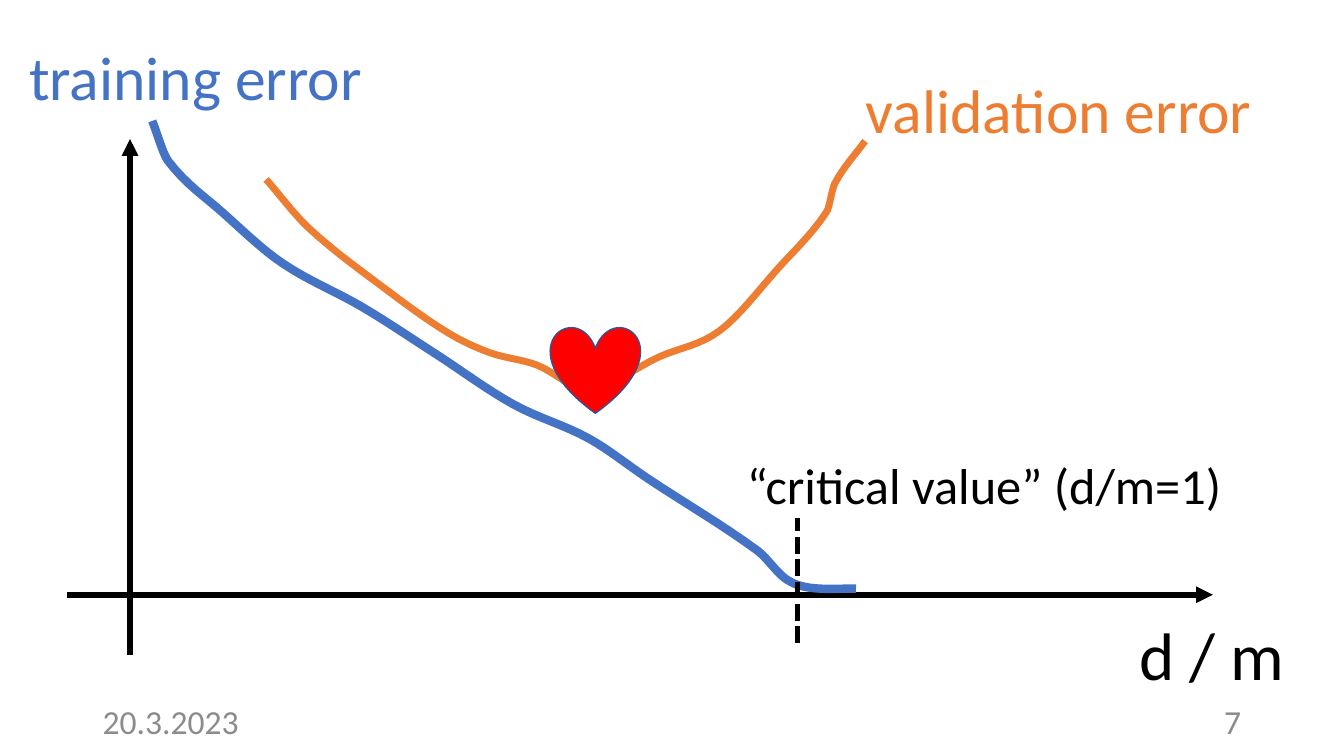
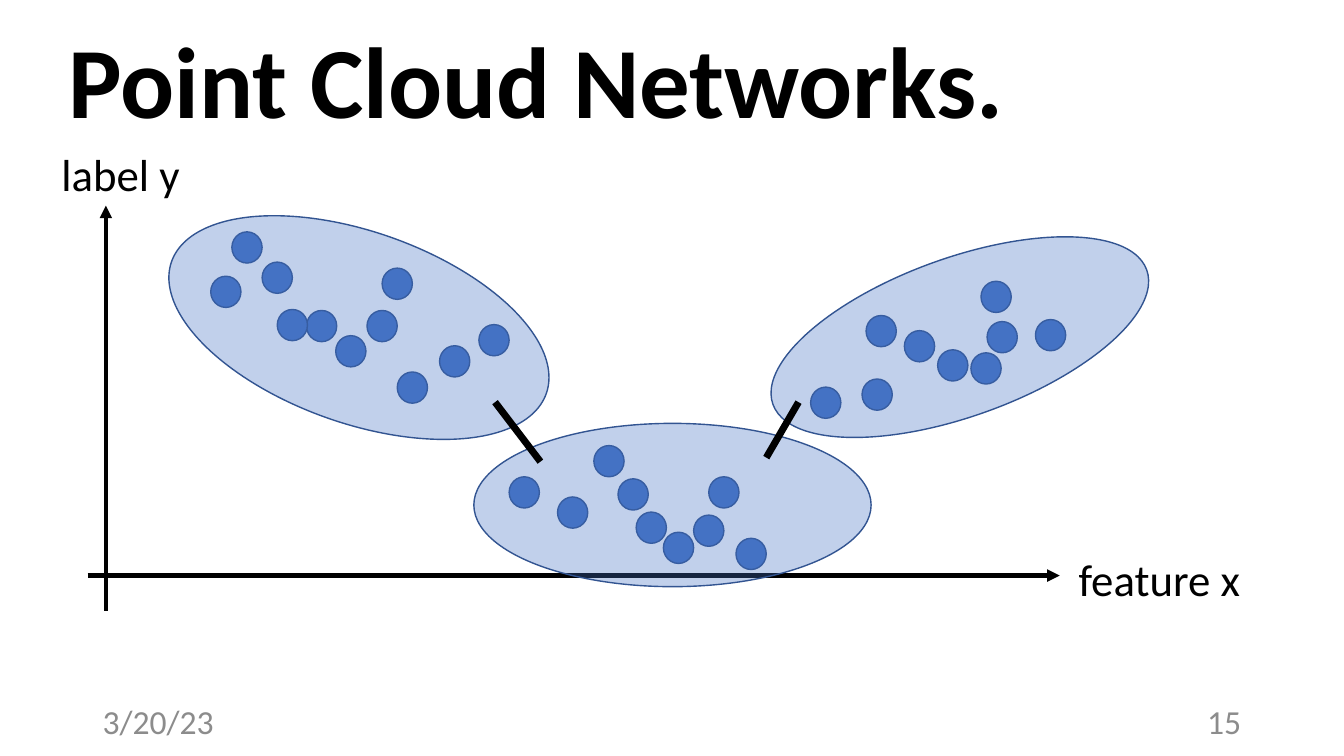
from dataclasses import dataclass
from itertools import pairwise

from lxml.etree import SubElement
from pptx import Presentation
from pptx.dml.color import RGBColor
from pptx.enum.dml import MSO_LINE
from pptx.enum.shapes import MSO_CONNECTOR, MSO_SHAPE
from pptx.enum.text import MSO_ANCHOR, MSO_AUTO_SIZE, PP_ALIGN
from pptx.oxml.ns import qn
from pptx.util import Inches, Pt


@dataclass(frozen=True)
class Theme:
    font: str = "Calibri"
    ink: str = "000000"
    muted: str = "8C8C8C"
    blue: str = "4472C4"
    outline: str = "325491"
    orange: str = "ED7D31"
    red: str = "FF0000"
    title: int = 72
    axis_name: int = 48
    curve_name: int = 44
    remark: int = 36
    label: int = 32
    footer: int = 24
    cloud_opacity: int = 33


THEME = Theme()
WIDTH, HEIGHT = 13.33, 7.5
MARGIN = 0.92
FOOTER_SIZE = (3, 0.4)
FOOTER_TOP = 6.95
STEPS_PER_BEND = 8

ERROR_AXES = {"left": 0.66, "right": 12.03, "bottom": 6.5, "top": 1.38,
              "origin": (1.29, 5.9), "weight": 4}
TRAINING_BENDS = [
    (1.51, 1.2), (1.67, 1.6), (2.21, 2.11), (2.8, 2.61), (3.6, 3.05), (4.32, 3.51),
    (5.09, 4.01), (5.84, 4.35), (6.43, 4.75), (7.51, 5.46), (7.79, 5.74),
    (8.03, 5.83), (8.49, 5.84),
]
VALIDATION_BENDS = [
    (2.64, 1.78), (3.07, 2.27), (3.84, 2.88), (4.44, 3.3), (4.86, 3.5), (5.32, 3.62),
    (5.84, 3.86), (6.54, 3.54), (7.14, 3.28), (7.72, 2.66), (8.2, 2.1),
    (8.28, 1.82), (8.58, 1.4),
]
BEST_MODEL = (5.46, 3.24, 0.89, 0.86)
CRITICAL_X, CRITICAL_BOTTOM, CRITICAL_TOP = 7.91, 6.38, 5.14
ERROR_LABELS = [
    ("training error", (0.19, 0.34, 3.54, 0.84), THEME.curve_name, THEME.blue),
    ("validation error", (8.49, 0.66, 4.08, 0.84), THEME.curve_name, THEME.orange),
    ("“critical value” (d/m=1)", (7.31, 4.46, 5.07, 0.71), THEME.remark, THEME.ink),
    ("d / m", (11.2, 6.04, 1.66, 0.91), THEME.axis_name, THEME.ink),
]

NETWORK_AXES = {"left": 0.87, "right": 10.51, "bottom": 6.06, "top": 2.04,
                "origin": (1.05, 5.71), "weight": 3}
NETWORK_LABELS = [
    ("feature x", (10.6, 5.42, 1.82, 0.64), THEME.label, THEME.ink),
    ("label y", (0.51, 1.41, 1.39, 0.64), THEME.label, THEME.ink),
]
DOT_SIZE = (0.3, 0.31)
CLOUDS = [
    {"oval": (1.59, 2.3, 3.94, 1.9), "turn": 19.4, "dots": [
        (2.09, 2.74), (2.3, 2.3), (2.6, 2.6), (3.04, 3.08), (2.75, 3.07), (3.33, 3.33),
        (3.64, 3.08), (3.79, 2.66), (3.94, 3.69), (4.36, 3.43), (4.75, 3.22)]},
    {"oval": (4.7, 4.2, 3.94, 1.62), "turn": 0, "dots": [
        (5.05, 4.73), (5.53, 4.93), (5.89, 4.42), (6.13, 4.75), (6.31, 5.08),
        (6.58, 5.28), (6.88, 5.11), (7.03, 4.73), (7.3, 5.34)]},
    {"oval": (7.55, 2.56, 3.94, 1.57), "turn": 340.2, "dots": [
        (8.04, 3.84), (8.55, 3.76), (8.59, 3.13), (8.97, 3.28), (9.3, 3.47),
        (9.63, 3.5), (9.73, 2.79), (9.79, 3.19), (10.27, 3.17)]},
]
CLOUD_LINKS = [((4.91, 3.99), (5.36, 4.58)), ((7.92, 3.99), (7.6, 4.54))]


def rgb(color):
    return RGBColor.from_string(color)


def slope(start, end):
    return (end[1] - start[1]) / (end[0] - start[0])


def smooth(bends):
    before = [bends[0], *bends[:-1]]
    after = [*bends[1:], bends[-1]]
    slopes = [slope(start, end) for start, end in zip(before, after)]
    curve = [bends[0]]
    for (start, rise_in), (end, rise_out) in pairwise(zip(bends, slopes)):
        (x0, y0), (x1, y1) = start, end
        run = x1 - x0
        for step in range(1, STEPS_PER_BEND + 1):
            t = step / STEPS_PER_BEND
            ease = t * t * (3 - 2 * t)
            leave = t * (1 - t) ** 2
            arrive = t * t * (t - 1)
            y = y0 + (y1 - y0) * ease + run * (rise_in * leave + rise_out * arrive)
            curve.append((x0 + run * t, y))
    return curve


def write(slide, text, box, *, size, color=THEME.ink, bold=False, wrap=False,
          align=PP_ALIGN.LEFT, anchor=MSO_ANCHOR.TOP, holder=None):
    left, top, width, height = map(Inches, box)
    if holder is None:
        holder = slide.shapes.add_textbox(left, top, width, height)
    else:
        holder.left, holder.top, holder.width, holder.height = left, top, width, height
    frame = holder.text_frame
    frame.word_wrap = wrap
    frame.auto_size = MSO_AUTO_SIZE.NONE
    frame.vertical_anchor = anchor
    paragraph = frame.paragraphs[0]
    paragraph.alignment = align
    run = paragraph.add_run()
    run.text = text
    font = run.font
    font.name, font.size, font.bold = THEME.font, Pt(size), bold
    font.color.rgb = rgb(color)


def add_labels(slide, labels):
    for text, box, size, color in labels:
        write(slide, text, box, size=size, color=color)


def add_footer(slide, date, number):
    right = WIDTH - MARGIN - FOOTER_SIZE[0]
    for text, left, align in ((date, MARGIN, PP_ALIGN.LEFT), (number, right, PP_ALIGN.RIGHT)):
        write(slide, text, (left, FOOTER_TOP, *FOOTER_SIZE), size=THEME.footer,
              color=THEME.muted, wrap=True, align=align, anchor=MSO_ANCHOR.MIDDLE)


def set_line(line, color, weight):
    line.color.rgb = rgb(color)
    line.width = Pt(weight)


def add_line(slide, start, end, *, weight, dash=None, arrow=False):
    connector = slide.shapes.add_connector(
        MSO_CONNECTOR.STRAIGHT, *map(Inches, (*start, *end)))
    set_line(connector.line, THEME.ink, weight)
    if dash is not None:
        connector.line.dash_style = dash
    properties = connector._element.spPr
    if arrow:
        SubElement(properties.find(qn("a:ln")), qn("a:tailEnd"), type="triangle")
    SubElement(properties, qn("a:effectLst"))


def add_axes(slide, *, left, right, bottom, top, origin, weight):
    x, y = origin
    add_line(slide, (left, y), (right, y), weight=weight, arrow=True)
    add_line(slide, (x, bottom), (x, top), weight=weight, arrow=True)


def add_curve(slide, bends, *, color, weight):
    start, *rest = [tuple(map(Inches, point)) for point in smooth(bends)]
    builder = slide.shapes.build_freeform(*start)
    builder.add_line_segments(rest, close=False)
    curve = builder.convert_to_shape()
    curve.shadow.inherit = False
    curve.fill.background()
    set_line(curve.line, color, weight)


def add_filled(slide, kind, box, *, color, opacity=None, turn=0):
    shape = slide.shapes.add_shape(kind, *map(Inches, box))
    shape.shadow.inherit = False
    shape.rotation = turn
    shape.fill.solid()
    shape.fill.fore_color.rgb = rgb(color)
    set_line(shape.line, THEME.outline, 1)
    if opacity is not None:
        tint = shape._element.spPr.find(qn("a:solidFill")).find(qn("a:srgbClr"))
        SubElement(tint, qn("a:alpha"), val=str(opacity * 1000))


def build_error_slide(deck):
    slide = deck.slides.add_slide(deck.slide_layouts[6])
    add_axes(slide, **ERROR_AXES)
    add_curve(slide, TRAINING_BENDS, color=THEME.blue, weight=6)
    add_curve(slide, VALIDATION_BENDS, color=THEME.orange, weight=5)
    add_filled(slide, MSO_SHAPE.HEART, BEST_MODEL, color=THEME.red)
    add_line(slide, (CRITICAL_X, CRITICAL_BOTTOM), (CRITICAL_X, CRITICAL_TOP),
             weight=4, dash=MSO_LINE.SQUARE_DOT)
    add_labels(slide, ERROR_LABELS)
    add_footer(slide, "20.3.2023", "7")


def build_network_slide(deck):
    slide = deck.slides.add_slide(deck.slide_layouts[5])
    write(slide, "Point Cloud Networks.", (0.58, 0.13, 9.57, 1.31), size=THEME.title,
          bold=True, holder=slide.shapes.title)
    add_axes(slide, **NETWORK_AXES)
    add_labels(slide, NETWORK_LABELS)
    for cloud in CLOUDS:
        for dot in cloud["dots"]:
            add_filled(slide, MSO_SHAPE.OVAL, (*dot, *DOT_SIZE), color=THEME.blue)
        add_filled(slide, MSO_SHAPE.OVAL, cloud["oval"], color=THEME.blue,
                   opacity=THEME.cloud_opacity, turn=cloud["turn"])
    for start, end in CLOUD_LINKS:
        add_line(slide, start, end, weight=5)
    add_footer(slide, "3/20/23", "15")


def main():
    deck = Presentation()
    deck.slide_width, deck.slide_height = Inches(WIDTH), Inches(HEIGHT)
    build_error_slide(deck)
    build_network_slide(deck)
    deck.save("out.pptx")


if __name__ == "__main__":
    main()
